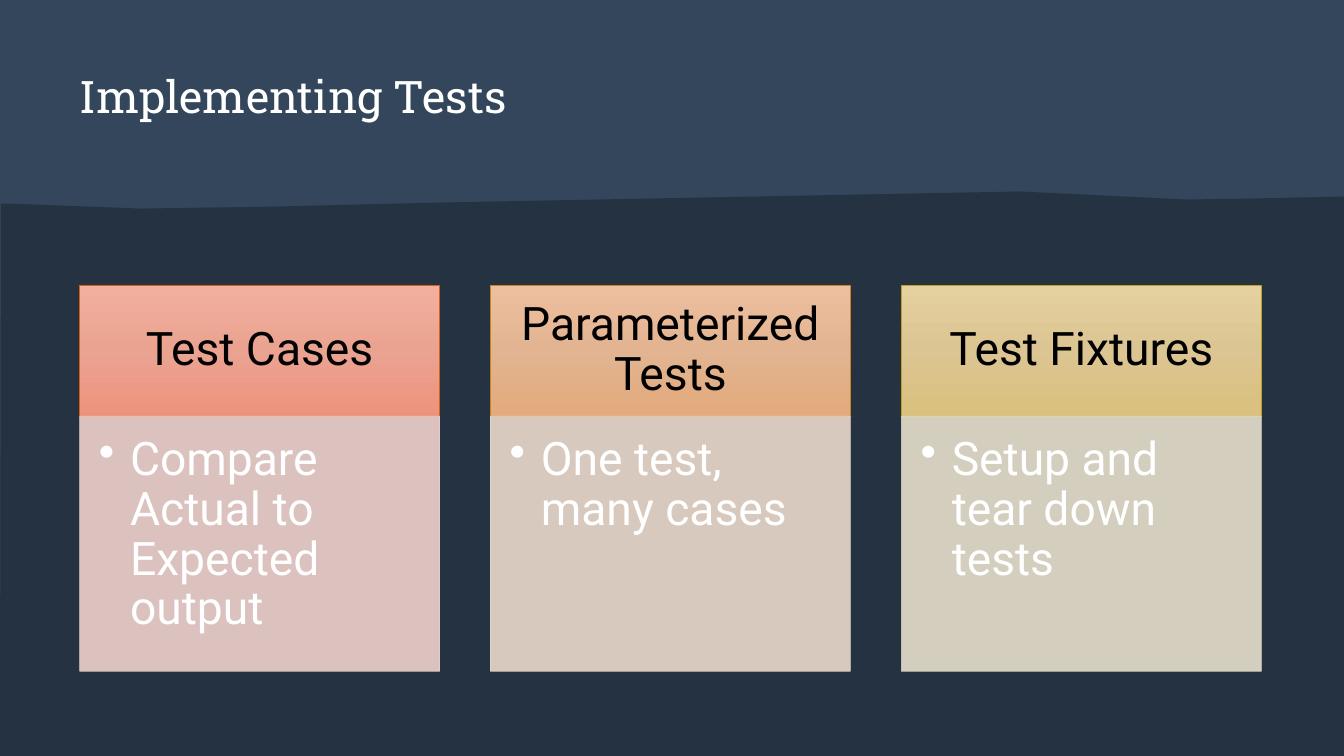
from lxml import etree
from pptx import Presentation
from pptx import util as u
from pptx.dml.color import RGBColor
from pptx.enum import shapes, text
from pptx.oxml import parse_xml
from pptx.oxml.ns import nsdecls, qn

THEME = {
    "sky": "33465B", "ground": "243241", "light": "FFFFFF", "dark": "000000",
    "title_font": "Roboto Slab", "body_font": "Roboto",
    "title_size": 32, "body_size": 33,
}
# heading, bullet, gradient stops, heading outline, body fill
CARDS = [
    ("Test Cases", "Compare Actual to Expected output",
     ("F2AF9E", "EBA391", "ED937C"), "D56117", "EFD2CC"),
    ("Parameterized Tests", "One test, many cases",
     ("EDBF9E", "E2B491", "E3AA7D"), "CA841D", "ECDACD"),
    ("Test Fixtures", "Setup and tear down tests",
     ("E5D09F", "DBC592", "DAC07D"), "BFA022", "E8DFCD"),
]
LEFT, PITCH, CARD_W = 0.79, 4.075, 3.57
HEAD_TOP, HEAD_H, BODY_H = 2.83, 1.3, 2.53


def paint(sp, fill, line=None):
    sp.shadow.inherit = False
    sp.fill.solid()
    sp.fill.fore_color.rgb = RGBColor.from_string(fill)
    if line:
        sp.line.color.rgb = RGBColor.from_string(line)
        sp.line.width = u.Pt(0.5)
    else:
        sp.line.fill.background()


def write(sp, words, font, size, color, insets, anchor, align):
    tf = sp.text_frame
    tf.word_wrap = True
    tf.auto_size = text.MSO_AUTO_SIZE.NONE
    tf.vertical_anchor = anchor
    tf.margin_left, tf.margin_top, tf.margin_right, tf.margin_bottom = map(u.Inches, insets)
    p = tf.paragraphs[0]
    p.text = words
    p.alignment = align
    p.font.name, p.font.size = font, u.Pt(size)
    p.font.color.rgb = RGBColor.from_string(color)
    return p


prs = Presentation()
prs.slide_width, prs.slide_height = u.Inches(13.33), u.Inches(7.5)
s = prs.slides.add_slide(prs.slide_layouts[5])
s.background.fill.solid()
s.background.fill.fore_color.rgb = RGBColor.from_string(THEME["ground"])

# Sky and ground, placed behind the title
sky = s.shapes.add_shape(shapes.MSO_SHAPE.RECTANGLE, 0, 0, prs.slide_width, prs.slide_height)
paint(sky, THEME["sky"])
ridge = [(1, 202), (8, 202), (140, 207), (272, 205), (436, 201), (1012, 190),
         (1177, 198), (1243, 197), (1333, 195), (1333, 750)]
builder = s.shapes.build_freeform(0, 750, scale=u.Inches(0.01))
builder.add_line_segments(ridge, close=True)
ground = builder.convert_to_shape()
paint(ground, THEME["ground"])
title = s.shapes.title
title._element.addprevious(sky._element)
title._element.addprevious(ground._element)

# Title
title.left, title.top = u.Inches(LEFT), u.Inches(0.68)
title.width, title.height = u.Inches(11.73), u.Inches(0.75)
write(title, "Implementing Tests", THEME["title_font"], THEME["title_size"], THEME["light"],
      (0, 0, 0, 0), text.MSO_ANCHOR.TOP, text.PP_ALIGN.LEFT)

# Cards
for col, (heading, bullet, stops, outline, tint) in enumerate(CARDS):
    x, w = u.Inches(LEFT + col * PITCH), u.Inches(CARD_W)

    # Heading with a vertical gradient
    head = s.shapes.add_shape(shapes.MSO_SHAPE.RECTANGLE, x, u.Inches(HEAD_TOP), w, u.Inches(HEAD_H))
    paint(head, stops[0], outline)
    gs = "".join(f'<a:gs pos="{i * 50000}"><a:srgbClr val="{c}"/></a:gs>'
                 for i, c in enumerate(stops))
    solid = head._element.spPr.find(qn("a:solidFill"))
    solid.getparent().replace(solid, parse_xml(
        f'<a:gradFill {nsdecls("a")} rotWithShape="1"><a:gsLst>{gs}</a:gsLst>'
        '<a:lin ang="5400000" scaled="0"/></a:gradFill>'))
    p = write(head, heading, THEME["body_font"], THEME["body_size"], THEME["dark"],
              (0.26, 0.15, 0.26, 0.15), text.MSO_ANCHOR.MIDDLE, text.PP_ALIGN.CENTER)
    p.line_spacing = 0.9

    # Translucent body with a bullet
    body = s.shapes.add_shape(shapes.MSO_SHAPE.RECTANGLE, x, u.Inches(HEAD_TOP + HEAD_H),
                              w, u.Inches(BODY_H))
    paint(body, tint, tint)
    for clr in body._element.spPr.iter(qn("a:srgbClr")):
        etree.SubElement(clr, qn("a:alpha"), val="90000")
    p = write(body, bullet, THEME["body_font"], THEME["body_size"], THEME["light"],
              (0.19, 0.19, 0.26, 0.29), text.MSO_ANCHOR.TOP, text.PP_ALIGN.LEFT)
    p.line_spacing = 0.9
    pPr = p._p.get_or_add_pPr()
    pPr.set("marL", str(u.Inches(0.31)))
    pPr.set("indent", str(-u.Inches(0.31)))
    pPr.find(qn("a:defRPr")).addprevious(parse_xml(f'<a:buChar {nsdecls("a")} char="•"/>'))

prs.save("out.pptx")
